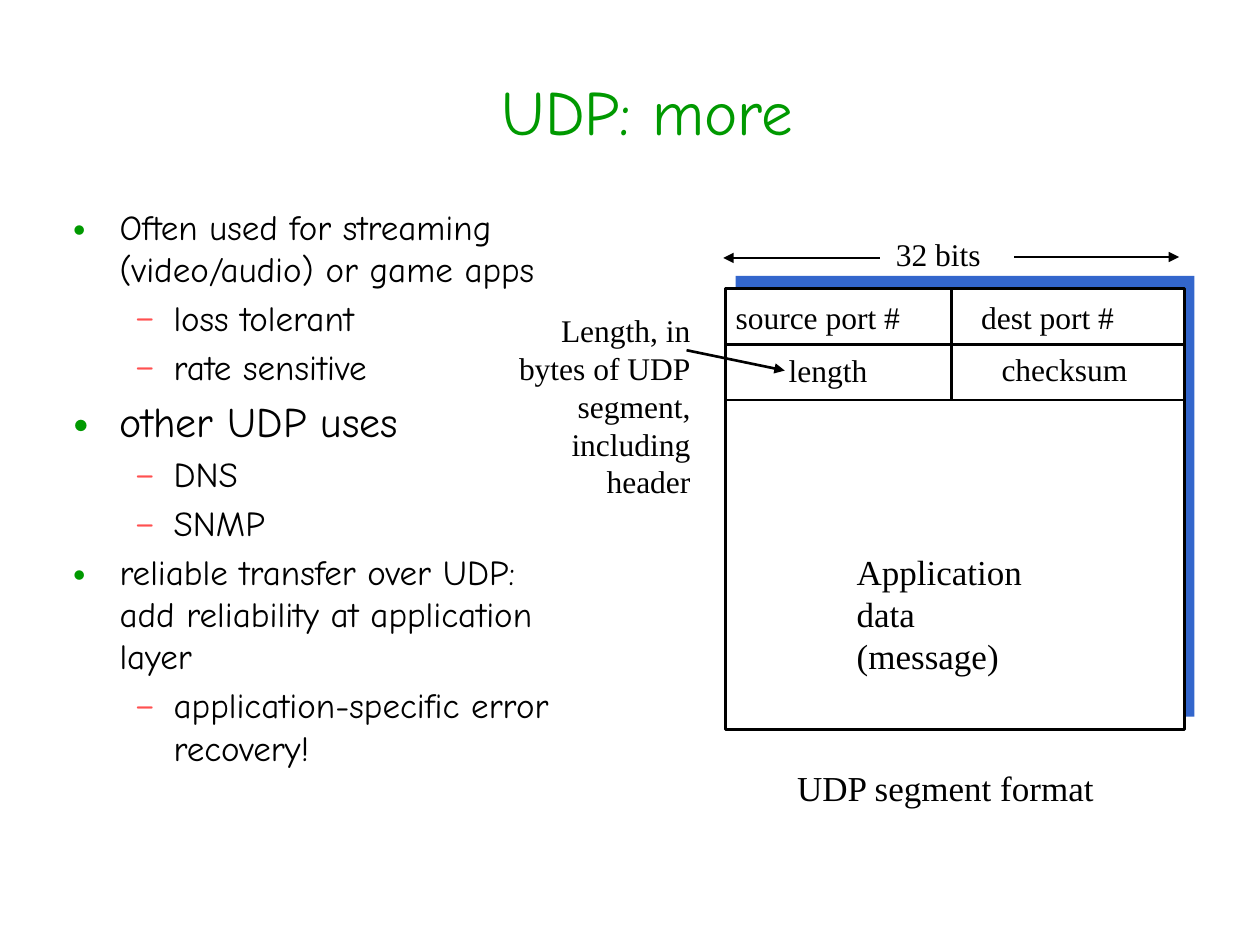
"""Build the "UDP: more" slide with its segment format diagram."""
from dataclasses import dataclass

from pptx import Presentation
from pptx.dml.color import RGBColor
from pptx.enum.shapes import MSO_CONNECTOR, MSO_SHAPE
from pptx.enum.text import MSO_ANCHOR, PP_ALIGN
from pptx.oxml.ns import qn
from pptx.util import Cm, Pt
from lxml.etree import SubElement


@dataclass(frozen=True)
class Theme:
    heading_font: str = "Comic Neue"
    diagram_font: str = "Times New Roman"
    green: str = "009900"
    red: str = "FF5050"
    black: str = "000000"
    white: str = "FFFFFF"
    blue: str = "3366CC"
    title_size: float = 36
    emphasis_size: float = 24
    body_size: float = 20
    label_size: float = 18
    rule_width: float = 1.5


THEME = Theme()

POINTS = [
    (0, "Often used for streaming (video/audio) or game apps", THEME.body_size),
    (1, "loss tolerant", THEME.body_size),
    (1, "rate sensitive", THEME.body_size),
    (0, "other UDP uses", THEME.emphasis_size),
    (1, "DNS", THEME.body_size),
    (1, "SNMP", THEME.body_size),
    (0, "reliable transfer over UDP: add reliability at application layer", THEME.body_size),
    (1, "application-specific error recovery!", THEME.body_size),
]

BULLETS = [
    ("•", THEME.green, 150, 0.97, 0.97),
    ("–", THEME.red, 100, 2.06, 0.79),
]

SEGMENT_LEFT, SEGMENT_TOP, SEGMENT_WIDTH, SEGMENT_HEIGHT = 14.63, 5.82, 9.25, 8.89
ROW_HEIGHT = 1.12
COLUMN_X = 19.18

LABELS = [
    (["source port #"], 14.58, 5.89, 4.65, 1.02, THEME.label_size, PP_ALIGN.LEFT),
    (["dest port #"], 19.53, 5.89, 4.04, 1.02, THEME.label_size, PP_ALIGN.LEFT),
    (["length"], 15.65, 6.96, 2.36, 1.02, THEME.label_size, PP_ALIGN.LEFT),
    (["checksum"], 19.94, 6.93, 3.35, 1.02, THEME.label_size, PP_ALIGN.LEFT),
    (["32 bits"], 17.81, 4.62, 2.64, 1.02, THEME.label_size, PP_ALIGN.LEFT),
    (["Application", "data", "(message)"], 17.02, 10.97, 4.17, 2.79,
     THEME.body_size, PP_ALIGN.LEFT),
    (["UDP segment format"], 15.82, 15.32, 7.37, 1.09, THEME.body_size, PP_ALIGN.LEFT),
    (["Length, in", "bytes of UDP", "segment,", "including", "header"],
     9.7, 6.15, 4.47, 4.06, THEME.label_size, PP_ALIGN.RIGHT),
]

ARROWS = [
    (20.45, 5.18, 23.77, 5.18),
    (17.73, 5.2, 14.58, 5.2),
    (13.84, 7.06, 15.82, 7.47),
]


def add_frame(slide, left, top, width, height):
    """Add a wrapping text box and return its text frame."""
    frame = slide.shapes.add_textbox(Cm(left), Cm(top), Cm(width), Cm(height)).text_frame
    frame.word_wrap = True
    return frame


def next_paragraph(frame, index):
    """Return the first paragraph for index 0, otherwise a new one."""
    return frame.add_paragraph() if index else frame.paragraphs[0]


def add_run(paragraph, text, font, size, color):
    """Add one styled run to a paragraph."""
    run = paragraph.add_run()
    run.text = text
    run.font.name = font
    run.font.size = Pt(size)
    run.font.color.rgb = RGBColor.from_string(color)


def add_title(slide, text):
    """Add the centred slide title."""
    frame = add_frame(slide, 1.47, 0.64, 23.16, 3.18)
    frame.vertical_anchor = MSO_ANCHOR.MIDDLE
    heading = frame.paragraphs[0]
    heading.alignment = PP_ALIGN.CENTER
    add_run(heading, text, THEME.heading_font, THEME.title_size, THEME.green)


def set_bullet(paragraph, level):
    """Give a paragraph the bullet and hanging indent of its level."""
    mark, color, percent, margin, hanging = BULLETS[level]
    paragraph.level = level
    properties = paragraph._p.get_or_add_pPr()
    properties.set("marL", str(Cm(margin)))
    properties.set("indent", str(-Cm(hanging)))
    bullet_color = SubElement(properties, qn("a:buClr"))
    SubElement(bullet_color, qn("a:srgbClr"), val=color)
    SubElement(properties, qn("a:buSzPct"), val=str(percent * 1000))
    SubElement(properties, qn("a:buFont"), typeface=THEME.heading_font)
    SubElement(properties, qn("a:buChar"), char=mark)


def add_points(slide):
    """Add the two-level bullet list."""
    frame = add_frame(slide, 1.19, 4.01, 10.59, 12.9)
    for index, (level, text, size) in enumerate(POINTS):
        point = next_paragraph(frame, index)
        set_bullet(point, level)
        if index:
            point.space_before = Pt(size * 0.2)
        add_run(point, text, THEME.heading_font, size, THEME.black)


def add_label(slide, lines, left, top, width, height, size, alignment):
    """Add a diagram label with one paragraph per line."""
    frame = add_frame(slide, left, top, width, height)
    for index, text in enumerate(lines):
        line = next_paragraph(frame, index)
        line.alignment = alignment
        add_run(line, text, THEME.diagram_font, size, THEME.black)


def add_panel(slide, left, top, fill, outline=None):
    """Add a segment-sized rectangle."""
    panel = slide.shapes.add_shape(
        MSO_SHAPE.RECTANGLE, Cm(left), Cm(top), Cm(SEGMENT_WIDTH), Cm(SEGMENT_HEIGHT))
    panel.shadow.inherit = False
    panel.fill.solid()
    panel.fill.fore_color.rgb = RGBColor.from_string(fill)
    if outline:
        panel.line.color.rgb = RGBColor.from_string(outline)
        panel.line.width = Pt(THEME.rule_width)
    else:
        panel.line.fill.background()


def add_rule(slide, start_x, start_y, end_x, end_y, arrow=False):
    """Add a straight line, with an arrowhead at its end if asked."""
    rule = slide.shapes.add_connector(
        MSO_CONNECTOR.STRAIGHT, Cm(start_x), Cm(start_y), Cm(end_x), Cm(end_y))
    rule.line.color.rgb = RGBColor.from_string(THEME.black)
    rule.line.width = Pt(THEME.rule_width)
    if arrow:
        SubElement(rule.line._get_or_add_ln(), qn("a:tailEnd"), type="triangle")
    SubElement(rule._element.spPr, qn("a:effectLst"))


def add_segment(slide):
    """Add the UDP segment with its two header rows."""
    add_panel(slide, SEGMENT_LEFT + 0.2, SEGMENT_TOP - 0.26, THEME.blue)
    add_panel(slide, SEGMENT_LEFT, SEGMENT_TOP, THEME.white, THEME.black)
    for row in range(2):
        row_top = SEGMENT_TOP + row * ROW_HEIGHT
        row_bottom = row_top + ROW_HEIGHT
        add_rule(slide, SEGMENT_LEFT, row_bottom, SEGMENT_LEFT + SEGMENT_WIDTH, row_bottom)
        add_rule(slide, COLUMN_X, row_bottom, COLUMN_X, row_top)


def main():
    """Build and save the slide."""
    presentation = Presentation()
    presentation.slide_width, presentation.slide_height = Cm(25.4), Cm(19.05)
    slide = presentation.slides.add_slide(presentation.slide_layouts[6])
    add_title(slide, "UDP: more")
    add_points(slide)
    add_segment(slide)
    for label in LABELS:
        add_label(slide, *label)
    for arrow in ARROWS:
        add_rule(slide, *arrow, arrow=True)
    presentation.save("out.pptx")


if __name__ == "__main__":
    main()
